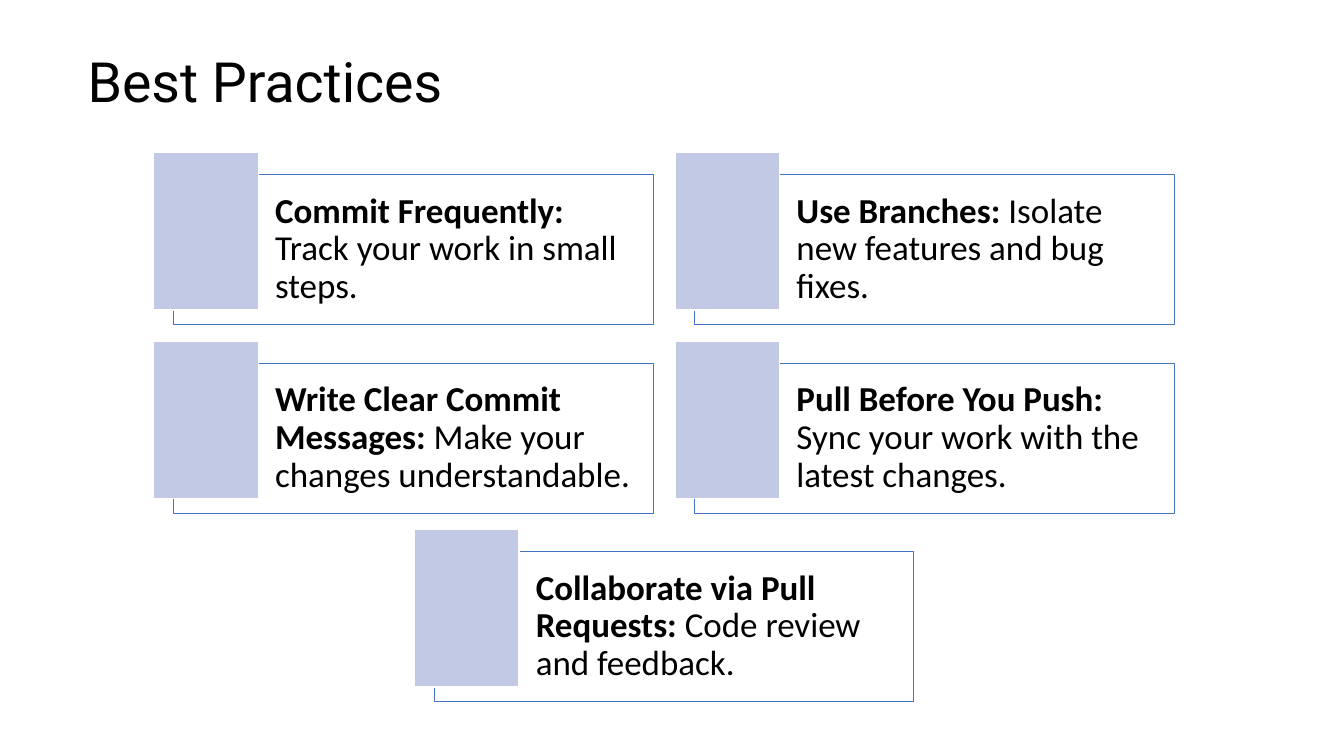
import pptx
import pptx.util
import pptx.dml.color
import pptx.enum.shapes
import pptx.enum.text
import pptx.oxml.ns
import lxml.etree

Pt = pptx.util.Pt
LEFT, TOP = 123.84, 124.56
WIDE, HIGH = 342.72, 107.28
STEP_X, STEP_Y = 372.4, 134.64

CARDS = [
    (0, 0, "Commit Frequently:", " Track your work in small steps."),
    (1, 0, "Use Branches:", " Isolate new features and bug fixes."),
    (0, 1, "Write Clear Commit Messages:", " Make your changes understandable."),
    (1, 1, "Pull Before You Push:", " Sync your work with the latest changes."),
    (0.5, 2, "Collaborate via Pull Requests:", " Code review and feedback."),
]


def color(code):
    return pptx.dml.color.RGBColor.from_string(code)


def write(para, text, size=25, font="Calibri", bold=False, ink="000000"):
    run = para.add_run()
    run.text = text
    run.font.size = Pt(size)
    run.font.name = font
    run.font.bold = bold
    run.font.color.rgb = color(ink)


def frame(shape, left=7.2):
    body = shape.text_frame
    body.word_wrap = True
    body.vertical_anchor = pptx.enum.text.MSO_ANCHOR.MIDDLE
    body.margin_left = Pt(left)
    body.margin_right = Pt(7.2)
    body.margin_top = body.margin_bottom = Pt(7.2 if left > 7.2 else 3.6)
    para = body.paragraphs[0]
    para.alignment = pptx.enum.text.PP_ALIGN.LEFT
    para.line_spacing = 0.9
    return para


def block(shapes, x, y, w, h, fill, edge, width, alpha=None):
    kind = pptx.enum.shapes.MSO_SHAPE.RECTANGLE
    shape = shapes.add_shape(kind, Pt(x), Pt(y), Pt(w), Pt(h))
    shape.shadow.inherit = False
    shape.fill.solid()
    shape.fill.fore_color.rgb = color(fill)
    shape.line.color.rgb = color(edge)
    shape.line.width = Pt(width)
    if alpha is not None:
        qn = pptx.oxml.ns.qn
        tint = shape.fill._xPr.find(qn("a:solidFill")).find(qn("a:srgbClr"))
        lxml.etree.SubElement(tint, qn("a:alpha")).set("val", str(alpha * 1000))
    return shape


def card(slide, col, row, head, rest):
    x, y = LEFT + col * STEP_X, TOP + row * STEP_Y
    shapes = slide.shapes.add_group_shape().shapes
    box = block(shapes, x, y, WIDE, HIGH, "FFFFFF", "4472C4", 0.5, alpha=40)
    para = frame(box, left=72.72)
    write(para, head, bold=True)
    write(para, rest)
    block(shapes, x - 14.1, y - 15.4, 74.88, 112.32, "C1C9E4", "FFFFFF", 1)


def title(slide, text):
    box = slide.shapes.add_textbox(Pt(55.44), Pt(35.28), Pt(828), Pt(50.4))
    write(frame(box), text, size=39.6, font="Roboto")


def main():
    deck = pptx.Presentation()
    deck.slide_width, deck.slide_height = Pt(960), Pt(540)
    slide = deck.slides.add_slide(deck.slide_layouts[6])
    title(slide, "Best Practices")
    for item in CARDS:
        card(slide, *item)
    deck.save("out.pptx")


if __name__ == "__main__":
    main()
